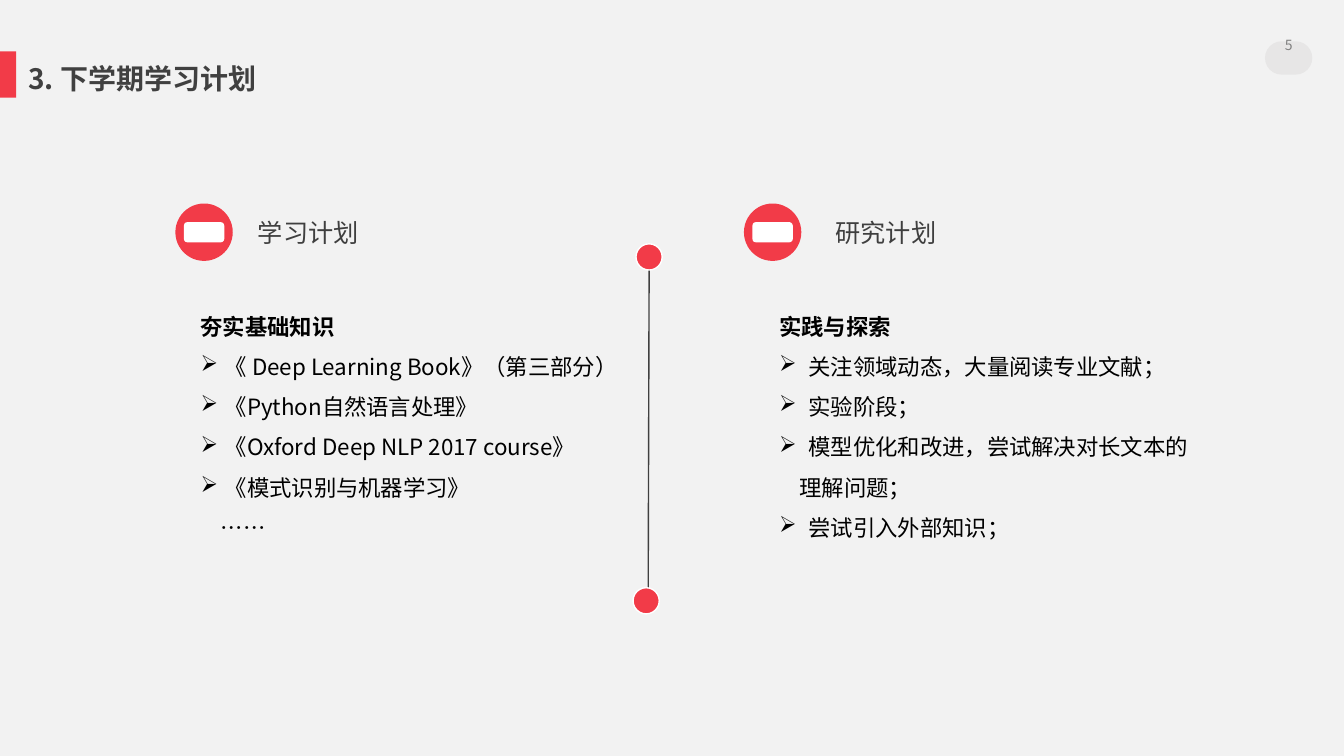
from lxml.etree import SubElement
from pptx import Presentation
from pptx.dml.color import RGBColor
from pptx.enum.shapes import MSO_CONNECTOR, MSO_SHAPE
from pptx.enum.text import MSO_ANCHOR, PP_ALIGN
from pptx.oxml.ns import qn
from pptx.util import Pt

RED = RGBColor(0xF2, 0x3B, 0x48)
WHITE = RGBColor(0xFF, 0xFF, 0xFF)
BLACK = RGBColor(0x00, 0x00, 0x00)
BACKGROUND = RGBColor(0xF2, 0xF2, 0xF2)
PILL = RGBColor(0xE7, 0xE6, 0xE6)
GREY = RGBColor(0x80, 0x80, 0x80)
DARK = RGBColor(0x40, 0x40, 0x40)
HEADING = RGBColor(0x3F, 0x3F, 0x3F)

BULLET = "➢"
CIRCLE = 41
DOT = 18.7


class Deck:
    font = "Noto Sans CJK SC"

    def __init__(self, width, height):
        self.prs = Presentation()
        self.prs.slide_width, self.prs.slide_height = Pt(width), Pt(height)
        self.s = self.prs.slides.add_slide(self.prs.slide_layouts[6])
        fill = self.s.background.fill
        fill.solid()
        fill.fore_color.rgb = BACKGROUND

    def shape(self, kind, x, y, w, h, color, outline=None):
        sp = self.s.shapes.add_shape(kind, Pt(x), Pt(y), Pt(w), Pt(h))
        sp.shadow.inherit = False
        sp.fill.solid()
        sp.fill.fore_color.rgb = color
        if outline is None:
            sp.line.fill.background()
        else:
            sp.line.color.rgb = outline
            sp.line.width = Pt(1)
        return sp

    def line(self, x1, y1, x2, y2, color):
        cx = self.s.shapes.add_connector(
            MSO_CONNECTOR.STRAIGHT, Pt(x1), Pt(y1), Pt(x2), Pt(y2))
        cx.line.color.rgb = color
        cx.line.width = Pt(1)
        SubElement(cx.line._get_or_add_ln(), qn("a:tailEnd"), type="oval")
        SubElement(cx._element.spPr, qn("a:effectLst"))

    def frame(self, x, y, w, h, anchor=MSO_ANCHOR.TOP):
        tf = self.s.shapes.add_textbox(Pt(x), Pt(y), Pt(w), Pt(h)).text_frame
        tf.word_wrap = True
        tf.vertical_anchor = anchor
        tf.margin_left = tf.margin_top = tf.margin_right = tf.margin_bottom = 0
        return tf

    def run(self, p, text, size, color, bold=False):
        r = p.add_run()
        r.text = text
        r.font.size = Pt(size)
        r.font.bold = bold
        r.font.color.rgb = color
        r.font.name = self.font
        SubElement(r.font._element, qn("a:ea"), typeface=self.font)

    def text(self, x, y, w, h, text, size, color, bold=False,
             align=PP_ALIGN.LEFT, anchor=MSO_ANCHOR.TOP, spacing=1.0):
        p = self.frame(x, y, w, h, anchor).paragraphs[0]
        p.alignment = align
        p.line_spacing = spacing
        self.run(p, text, size, color, bold)

    def plan(self, x, y, w, h, title, items):
        tf = self.frame(x, y, w, h)
        p = tf.paragraphs[0]
        p.line_spacing = 1.5
        self.run(p, title, 16, BLACK, True)
        for text, margin, bulleted in items:
            p = tf.add_paragraph()
            pPr = p._p.get_or_add_pPr()
            pPr.set("marL", str(Pt(margin)))
            pPr.set("indent", str(-Pt(margin) if bulleted else 0))
            if bulleted:
                SubElement(pPr, qn("a:buChar"), char=BULLET)
            else:
                SubElement(pPr, qn("a:buNone"))
            p.line_spacing = 1.5
            self.run(p, text, 16, BLACK)


def main():
    deck = Deck(960, 540)
    deck.shape(MSO_SHAPE.RECTANGLE, 0, 36.7, 11.5, 33.1, RED)
    pill = deck.shape(MSO_SHAPE.ROUNDED_RECTANGLE, 903.6, 29.5, 33.8, 23.8, PILL)
    pill.adjustments[0] = 0.5
    deck.text(903.6, 25.9, 33.8, 31, "5", 10, GREY, align=PP_ALIGN.CENTER)
    deck.text(20.2, 39.6, 300.2, 33.1, "3. 下学期学习计划", 20, DARK, True,
              PP_ALIGN.JUSTIFY, MSO_ANCHOR.MIDDLE)

    for circle_x, heading_x, heading in (
            (125.3, 184.3, "学习计划"), (531.4, 596.9, "研究计划")):
        deck.text(heading_x, 157.7, 175.7, 29.5, heading, 18, HEADING, spacing=0.9)
        deck.shape(MSO_SHAPE.OVAL, circle_x, 145.4, CIRCLE, CIRCLE, RED)
        deck.shape(MSO_SHAPE.ROUNDED_RECTANGLE, circle_x + 6.1, 158.7,
                   28.8, 14.4, WHITE)

    deck.line(463.7, 183.6, 463, 429.1, DARK)
    for x, y in ((454.3, 174.2), (452.2, 419.8)):
        deck.shape(MSO_SHAPE.OVAL, x, y, DOT, DOT, RED, WHITE)

    deck.plan(143.3, 213.8, 298.8, 165.6, "夯实基础知识", [
        (" 《 Deep Learning Book》（第三部分）", 13.7, True),
        (" 《Python自然语言处理》", 13.7, True),
        (" 《Oxford Deep NLP 2017 course》", 13.7, True),
        (" 《模式识别与机器学习》", 13.7, True),
        ("……", 14.4, False),
    ])
    deck.plan(556.6, 213.8, 310.3, 197.3, "实践与探索", [
        ("关注领域动态，大量阅读专业文献；", 20.9, True),
        ("实验阶段；", 20.9, True),
        ("模型优化和改进，尝试解决对长文本的", 20.9, True),
        ("理解问题；", 14.4, False),
        ("尝试引入外部知识；", 20.9, True),
    ])
    deck.prs.save("out.pptx")


if __name__ == "__main__":
    main()
